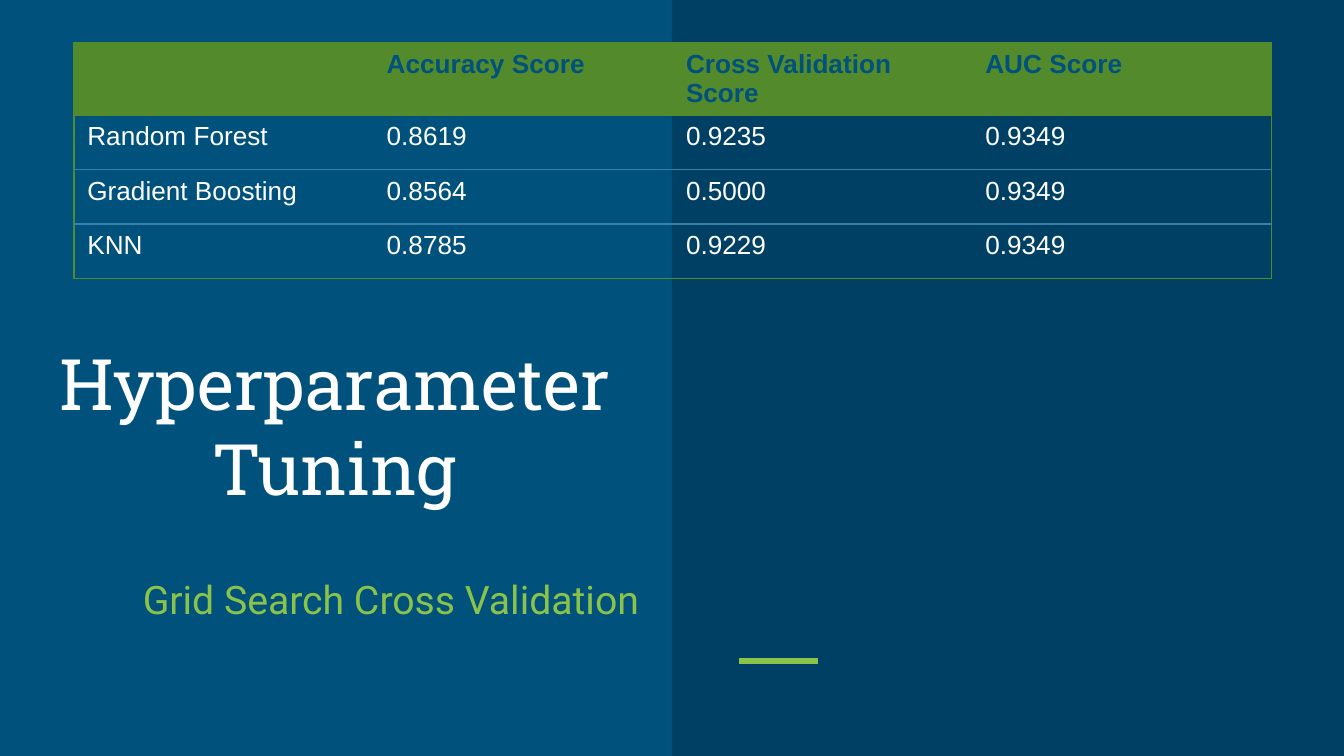
from typing import NamedTuple, Optional

from lxml import etree
from pptx import Presentation
from pptx.dml.color import RGBColor
from pptx.enum.shapes import MSO_CONNECTOR, MSO_SHAPE
from pptx.enum.text import MSO_ANCHOR, MSO_AUTO_SIZE, PP_ALIGN
from pptx.oxml.ns import qn
from pptx.util import Inches, Pt

RECT = MSO_SHAPE.RECTANGLE
STRAIGHT = MSO_CONNECTOR.STRAIGHT
TOP, BOTTOM = MSO_ANCHOR.TOP, MSO_ANCHOR.BOTTOM
CENTER = PP_ALIGN.CENTER
NO_AUTOFIT = MSO_AUTO_SIZE.NONE

BLUE = RGBColor(0x00, 0x51, 0x7C)
NAVY = RGBColor(0x00, 0x40, 0x65)
LIME = RGBColor(0x8B, 0xC3, 0x4A)
GREEN = RGBColor(0x53, 0x8A, 0x2C)
RULE = RGBColor(0x3A, 0x7F, 0xA6)
WHITE = RGBColor(0xFF, 0xFF, 0xFF)

TABLE_BOX = (0.55, 0.32, 8.91, 1.78)
ROWS_H = 1.62


class Caption(NamedTuple):
    text: str
    box: tuple[float, float, float, float]
    font: str
    size: int
    color: RGBColor
    anchor: MSO_ANCHOR


TITLE = Caption("Hyperparameter Tuning", (0.28, 2.24, 4.42, 1.65),
                "Roboto Slab", 38, WHITE, BOTTOM)
SUBTITLE = Caption("Grid Search Cross Validation", (0.7, 4.18, 4.42, 0.66),
                   "Roboto", 21, LIME, TOP)
SCORES = [
    ("", "Accuracy Score", "Cross Validation Score", "AUC Score"),
    ("Random Forest", "0.8619", "0.9235", "0.9349"),
    ("Gradient Boosting", "0.8564", "0.5000", "0.9349"),
    ("KNN", "0.8785", "0.9229", "0.9349"),
]


def style_caption(sp, caption: Caption) -> None:
    sp.left, sp.top, sp.width, sp.height = map(Inches, caption.box)
    tf = sp.text_frame
    tf.text = caption.text
    tf.word_wrap = True
    tf.auto_size = NO_AUTOFIT
    tf.vertical_anchor = caption.anchor
    tf.margin_left = tf.margin_right = Inches(0.1)
    tf.margin_top = tf.margin_bottom = Inches(0.1)
    p = tf.paragraphs[0]
    p.alignment = CENTER
    p.line_spacing = 1.0
    font = p.runs[0].font
    font.name, font.size = caption.font, Pt(caption.size)
    font.color.rgb = caption.color


def set_borders(cell, colors: list[Optional[RGBColor]]) -> None:
    tc_pr = cell._tc.get_or_add_tcPr()
    for i, (side, color) in enumerate(zip("LRTB", colors)):
        ln = etree.Element(qn(f"a:ln{side}"), w=str(Pt(0.75)))
        if color is None:
            etree.SubElement(ln, qn("a:noFill"))
        else:
            fill = etree.SubElement(ln, qn("a:solidFill"))
            etree.SubElement(fill, qn("a:srgbClr"), val=str(color))
        tc_pr.insert(i, ln)


def add_scores(slide, rows: list[tuple[str, ...]]) -> None:
    last_row, last_col = len(rows) - 1, len(rows[0]) - 1
    left, top, width, height = map(Inches, TABLE_BOX)
    frame = slide.shapes.add_table(len(rows), len(rows[0]), left, top, width, height)
    table = frame.table
    table.horz_banding = False
    for r, values in enumerate(rows):
        header = r == 0
        table.rows[r].height = Inches(ROWS_H / len(rows))
        for c, value in enumerate(values):
            cell = table.cell(r, c)
            if header:
                cell.fill.solid()
                cell.fill.fore_color.rgb = GREEN
            else:
                cell.fill.background()
            set_borders(cell, [
                GREEN if c == 0 else None,
                GREEN if c == last_col else None,
                GREEN if r <= 1 else RULE,
                GREEN if r in (0, last_row) else RULE,
            ])
            p = cell.text_frame.paragraphs[0]
            p.text = value
            p.font.size = Pt(14)
            for run in p.runs:
                run.font.name, run.font.size = "Arial", Pt(14)
                run.font.bold = header
                run.font.color.rgb = BLUE if header else WHITE
    frame.height = height


def main() -> None:
    prs = Presentation()
    prs.slide_width = Inches(10)
    prs.slide_height = prs.slide_width * 9 // 16
    slide = prs.slides.add_slide(prs.slide_layouts[5])
    slide.background.fill.solid()
    slide.background.fill.fore_color.rgb = BLUE

    panel = slide.shapes.add_shape(RECT, Inches(5), 0, Inches(5), prs.slide_height)
    panel.shadow.inherit = False
    panel.fill.solid()
    panel.fill.fore_color.rgb = NAVY
    panel.line.fill.background()

    accent = slide.shapes.add_connector(
        STRAIGHT, Inches(5.5), Inches(4.92), Inches(6.09), Inches(4.92))
    accent.line.color.rgb = LIME
    accent.line.width = Pt(3)
    etree.SubElement(accent._element.spPr, qn("a:effectLst"))

    style_caption(slide.shapes.title, TITLE)
    style_caption(slide.shapes.add_textbox(*map(Inches, SUBTITLE.box)), SUBTITLE)
    add_scores(slide, SCORES)
    prs.save("out.pptx")


if __name__ == "__main__":
    main()
